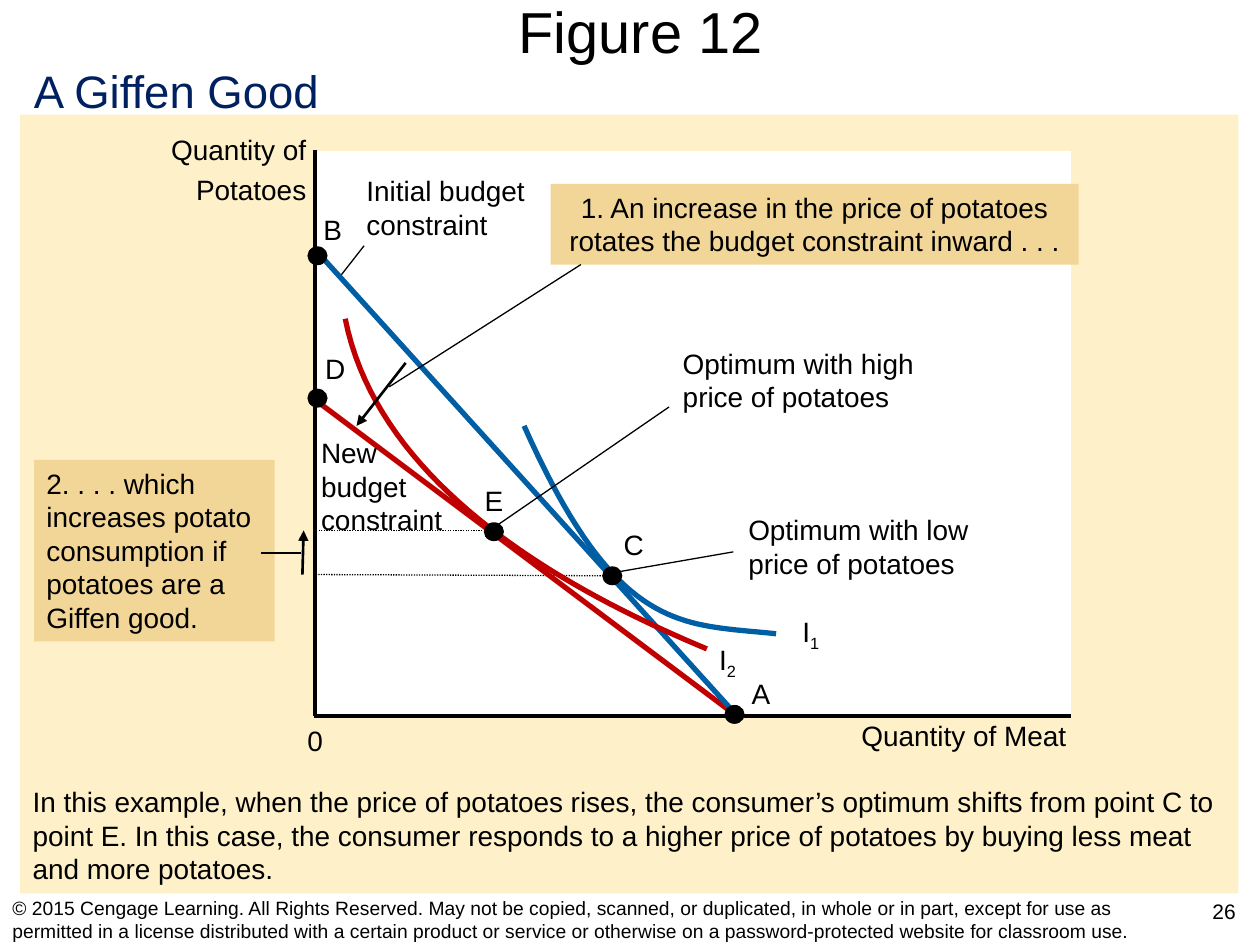
from lxml import etree
from pptx import Presentation
from pptx.dml.color import RGBColor
from pptx.enum.dml import MSO_LINE
from pptx.enum.shapes import MSO_CONNECTOR, MSO_SHAPE
from pptx.enum.text import MSO_ANCHOR, MSO_AUTO_SIZE, PP_ALIGN
from pptx.oxml.ns import qn
from pptx.util import Inches, Pt

LEFT, CENTER, RIGHT = PP_ALIGN.LEFT, PP_ALIGN.CENTER, PP_ALIGN.RIGHT
TOP, MIDDLE = MSO_ANCHOR.TOP, MSO_ANCHOR.MIDDLE
DOTTED = MSO_LINE.ROUND_DOT
FONT = "Arial"
BLACK, WHITE, NAVY = "000000", "FFFFFF", "002060"
BLUE, RED, CREAM, TAN = "005EA4", "C00000", "FEF0C8", "F2D698"
BODY_SIZE = 16

TITLE = ("Figure 12", (0.35, 0, 9.47, 0.49))
PANELS = [((0.16, 0.91, 9.67, 6.18), CREAM), ((2.51, 1.2, 5.99, 4.49), WHITE)]
CALLOUTS = [
    ("1. An increase in the price of potatoes rotates the budget constraint inward . . .",
     (4.37, 1.46, 4.19, 0.64), CENTER),
    ("2. . . . which increases potato consumption if potatoes are a Giffen good.",
     (0.27, 3.65, 1.91, 1.44), LEFT),
]

# start, end, colour, width
AXES = [((2.5, 1.19), (2.5, 5.68), BLACK, 2.25), ((2.49, 5.68), (8.5, 5.68), BLACK, 2.25)]
BUDGET_LINES = [((2.47, 3.15), (5.83, 5.67), RED, 3), ((2.51, 1.99), (5.84, 5.67), BLUE, 3)]
LEADERS = [
    ((3.09, 3.07), (4.61, 2.1)),
    ((2.39, 4.39), (2.07, 4.39)),
    ((2.71, 2.18), (2.89, 1.95)),
    ((4.84, 4.55), (5.82, 4.38)),
    ((3.93, 4.18), (5.31, 3.23)),
]
GUIDES = [((3.91, 4.21), (2.48, 4.21)), ((4.85, 4.57), (2.5, 4.56))]
SHIFT_ARROWS = [((3.22, 2.88), (2.83, 3.38)), ((2.4, 4.56), (2.41, 4.21))]

# start, two control points, end
INDIFFERENCE_CURVES = [
    ([(4.16, 3.38), (4.9, 5.04), (5.41, 4.95), (6.16, 5.03)], BLUE),
    ([(2.74, 2.53), (3.01, 3.88), (4.53, 4.7), (5.61, 5.15)], RED),
]

# letter, dot centre, top left corner of the label
POINTS = [
    ("A", (5.83, 5.67), (5.84, 5.32)),
    ("B", (2.52, 2.03), (2.44, 1.64)),
    ("C", (4.86, 4.57), (4.83, 4.14)),
    ("D", (2.52, 3.16), (2.46, 2.74)),
    ("E", (3.92, 4.22), (3.72, 3.79)),
]
DOT_WIDTH, DOT_HEIGHT = 0.16, 0.15
LABEL_WIDTH, LABEL_HEIGHT = 0.4, 0.37

# paragraphs, box, alignment, space between paragraphs
GRAPH_TEXTS = [
    (["Quantity of", "Potatoes"], (1.26, 1, 1.27, 0.69), RIGHT, 4),
    (["Quantity of Meat"], (6.74, 5.65, 1.82, 0.37), CENTER, 0),
    (["0"], (2.34, 5.69, 0.32, 0.37), CENTER, 0),
    (["Initial budget", "constraint"], (2.81, 1.33, 1.45, 0.64), LEFT, 0),
    (["New", "budget", "constraint"], (2.45, 3.41, 1.16, 0.9), LEFT, 0),
    (["Optimum with high", "price of potatoes"], (5.32, 2.7, 2.32, 0.64), LEFT, 0),
    (["Optimum with low", "price of potatoes"], (5.84, 4.02, 2.22, 0.64), LEFT, 0),
]
CURVE_LABELS = [("I", "1", (6.27, 4.83, 0.33, 0.41)), ("I", "2", (5.61, 5.05, 0.33, 0.41))]

SUBTITLE = ("A Giffen Good", (0.17, 0.45, 2.49, 0.54))
EXPLANATION = (
    "In this example, when the price of potatoes rises, the consumer’s optimum shifts from "
    "point C to point E. In this case, the consumer responds to a higher price of potatoes "
    "by buying less meat and more potatoes.", (0.16, 6.18, 9.72, 0.9))
COPYRIGHT = (
    "© 2015 Cengage Learning. All Rights Reserved. May not be copied, scanned, or duplicated, "
    "in whole or in part, except for use as permitted in a license distributed with a certain "
    "product or service or otherwise on a password-protected website for classroom use.",
    (0, 7.1, 9.42, 0.4))
PAGE_NUMBER = ("26", (9.43, 7.08, 0.57, 0.41))


def color(value):
    return RGBColor.from_string(value)


def inches(values):
    return [Inches(value) for value in values]


def write(shape, texts, size=BODY_SIZE, align=LEFT, gap=0, text_color=BLACK,
          anchor=TOP, wrap=True):
    frame = shape.text_frame
    frame.word_wrap = wrap
    frame.auto_size = MSO_AUTO_SIZE.NONE
    frame.vertical_anchor = anchor
    for index, text in enumerate(texts):
        paragraph = frame.add_paragraph() if index else frame.paragraphs[0]
        paragraph.text = text
        paragraph.alignment = align
        paragraph.space_before = Pt(gap if index else 0)
        paragraph.font.name = FONT
        paragraph.font.size = Pt(size)
        paragraph.font.color.rgb = color(text_color)
    return frame


def add_text(slide, texts, box, **style):
    return write(slide.shapes.add_textbox(*inches(box)), texts, **style)


def add_filled(slide, preset, box, fill):
    shape = slide.shapes.add_shape(preset, *inches(box))
    shape.shadow.inherit = False
    shape.fill.solid()
    shape.fill.fore_color.rgb = color(fill)
    shape.line.fill.background()
    return shape


def add_line(slide, start, end, line_color=BLACK, width=0.75, dash=None, arrow=False):
    line = slide.shapes.add_connector(MSO_CONNECTOR.STRAIGHT, *inches(start + end))
    line.line.color.rgb = color(line_color)
    line.line.width = Pt(width)
    if dash:
        line.line.dash_style = dash
    properties = line._element.spPr
    if arrow:
        etree.SubElement(properties.find(qn("a:ln")), qn("a:tailEnd"), type="triangle")
    etree.SubElement(properties, qn("a:effectLst"))


def add_curve(slide, controls, line_color, steps=40):
    """Draw a cubic Bézier curve as a fine open outline."""
    points = []
    for step in range(steps + 1):
        t = step / steps
        weights = ((1 - t) ** 3, 3 * t * (1 - t) ** 2, 3 * t ** 2 * (1 - t), t ** 3)
        points.append(inches(sum(weight * value for weight, value in zip(weights, axis))
                             for axis in zip(*controls)))
    builder = slide.shapes.build_freeform(*points[0])
    builder.add_line_segments(points[1:], close=False)
    curve = builder.convert_to_shape()
    curve.shadow.inherit = False
    curve.fill.background()
    curve.line.color.rgb = color(line_color)
    curve.line.width = Pt(3)


def add_title(slide):
    text, box = TITLE
    title = slide.shapes.title
    title.left, title.top, title.width, title.height = inches(box)
    frame = write(title, [text], size=33, align=CENTER, anchor=MIDDLE)
    frame.margin_left = frame.margin_right = frame.margin_top = frame.margin_bottom = 0


def add_graph(slide):
    for line in AXES:
        add_line(slide, *line)
    for start, end in GUIDES:
        add_line(slide, start, end, dash=DOTTED)
    for line in BUDGET_LINES:
        add_line(slide, *line)
    for controls, curve_color in INDIFFERENCE_CURVES:
        add_curve(slide, controls, curve_color)
    for text, box, align in CALLOUTS:
        write(add_filled(slide, MSO_SHAPE.RECTANGLE, box, TAN), [text], align=align)
    for start, end in LEADERS:
        add_line(slide, start, end)
    for start, end in SHIFT_ARROWS:
        add_line(slide, start, end, width=1.5, arrow=True)
    for letter, (x, y), corner in POINTS:
        dot = (x - DOT_WIDTH / 2, y - DOT_HEIGHT / 2, DOT_WIDTH, DOT_HEIGHT)
        add_filled(slide, MSO_SHAPE.OVAL, dot, BLACK)
        add_text(slide, [letter], corner + (LABEL_WIDTH, LABEL_HEIGHT), align=CENTER)
    for texts, box, align, gap in GRAPH_TEXTS:
        add_text(slide, texts, box, align=align, gap=gap, wrap=False)
    for letter, number, box in CURVE_LABELS:
        frame = add_text(slide, [letter], box, align=CENTER, wrap=False)
        subscript = frame.paragraphs[0].add_run()
        subscript.text = number
        subscript.font._element.set("baseline", "-25000")


def main():
    presentation = Presentation()
    presentation.slide_width, presentation.slide_height = Inches(10), Inches(7.5)
    slide = presentation.slides.add_slide(presentation.slide_layouts[5])
    add_title(slide)
    for box, fill in PANELS:
        add_filled(slide, MSO_SHAPE.RECTANGLE, box, fill)
    add_graph(slide)
    for (text, box), style in [
        (SUBTITLE, dict(size=26, text_color=NAVY, wrap=False)),
        (EXPLANATION, {}),
        (COPYRIGHT, dict(size=11, anchor=MIDDLE)),
        (PAGE_NUMBER, dict(size=12, align=CENTER)),
    ]:
        add_text(slide, [text], box, **style)
    presentation.save("out.pptx")


if __name__ == "__main__":
    main()
